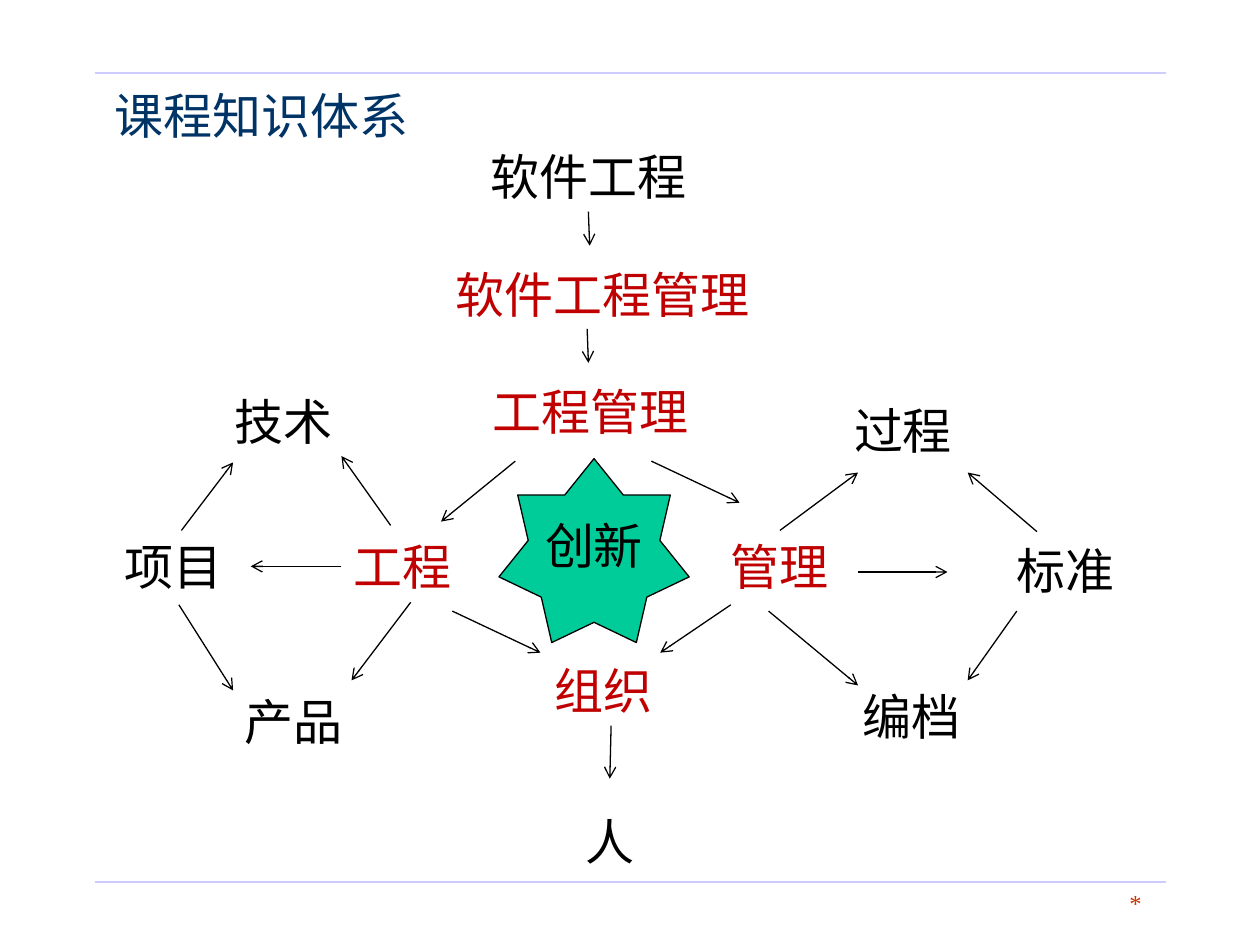
"""Build the course knowledge map slide with python-pptx."""
from dataclasses import dataclass

from lxml import etree
from pptx import Presentation
from pptx.dml.color import RGBColor
from pptx.enum.shapes import MSO_CONNECTOR, MSO_SHAPE
from pptx.enum.text import MSO_ANCHOR, MSO_AUTO_SIZE, PP_ALIGN
from pptx.oxml.ns import qn
from pptx.util import Inches, Pt

STRAIGHT = MSO_CONNECTOR.STRAIGHT
STAR = MSO_SHAPE.STAR_7_POINT
MIDDLE = MSO_ANCHOR.MIDDLE
GROW = MSO_AUTO_SIZE.SHAPE_TO_FIT_TEXT
LEFT, CENTER, RIGHT = PP_ALIGN.LEFT, PP_ALIGN.CENTER, PP_ALIGN.RIGHT
TOP_SIDE, LEFT_SIDE, BOTTOM_SIDE, RIGHT_SIDE = range(4)


@dataclass(frozen=True)
class Theme:
    title: RGBColor = RGBColor(0x00, 0x33, 0x66)
    text: RGBColor = RGBColor(0x00, 0x00, 0x00)
    key: RGBColor = RGBColor(0xC0, 0x00, 0x00)
    footer: RGBColor = RGBColor(0xCC, 0x33, 0x00)
    rule: RGBColor = RGBColor(0xCC, 0xCC, 0xFF)
    star: RGBColor = RGBColor(0x00, 0xCC, 0x99)
    large: Pt = Pt(28)
    small: Pt = Pt(14)
    line: Pt = Pt(0.75)
    latin: str = "Times New Roman"
    chinese: str = "Noto Sans CJK SC"


theme = Theme()


def write_text(shape, text, color, size=theme.large, font=theme.latin, align=LEFT):
    paragraph = shape.text_frame.paragraphs[0]
    paragraph.alignment = align
    run = paragraph.add_run()
    run.text = text
    run.font.name = font
    run.font.size = size
    run.font.color.rgb = color
    east_asian = etree.SubElement(run.font._element, qn("a:ea"))
    east_asian.set("typeface", theme.chinese)


def add_line(start, end, color, arrow=False):
    points = [Inches(value) for value in (*start, *end)]
    connector = slide.shapes.add_connector(STRAIGHT, *points)
    connector.line.color.rgb = color
    connector.line.width = theme.line
    if arrow:
        tail = etree.SubElement(connector.line._get_or_add_ln(), qn("a:tailEnd"))
        tail.set("type", "arrow")
    etree.SubElement(connector._element.spPr, qn("a:effectLst"))
    return connector


presentation = Presentation()
presentation.slide_width = Inches(10)
presentation.slide_height = Inches(7.5)
slide = presentation.slides.add_slide(presentation.slide_layouts[5])

for y in (0.58, 7):
    add_line((0.75, y), (9.25, y), theme.rule)

title = slide.shapes.title
title.left, title.top = Inches(0.81), Inches(0.58)
title.width, title.height = Inches(8.44), Inches(0.67)
title.text_frame.vertical_anchor = MIDDLE
write_text(title, "课程知识体系", theme.title, font=theme.chinese)

footer = slide.shapes.add_textbox(Inches(7.58), Inches(7), Inches(1.58), Inches(0.34))
footer.text_frame.word_wrap = True
write_text(footer, "*", theme.footer, size=theme.small, align=RIGHT)

topics = [
    ("软件工程", 3.64, 1.11, 2.06, theme.text),
    ("软件工程管理", 3.52, 2.05, 3.15, theme.key),
    ("工程管理", 3.81, 2.98, 2.06, theme.key),
    ("工程", 2.71, 4.21, 1.1, theme.key),
    ("管理", 5.7, 4.21, 1.1, theme.key),
    ("组织", 4.3, 5.19, 1.1, theme.key),
    ("人", 4.55, 6.39, 1.1, theme.text),
    ("技术", 1.76, 3.06, 1.1, theme.text),
    ("项目", 0.89, 4.21, 1.1, theme.text),
    ("产品", 1.84, 5.44, 1.1, theme.text),
    ("过程", 6.68, 3.13, 1.1, theme.text),
    ("标准", 7.97, 4.24, 1.1, theme.text),
    ("编档", 6.75, 5.4, 1.1, theme.text),
]
topic_boxes = {}
for name, left, top, width, color in topics:
    box = slide.shapes.add_textbox(Inches(left), Inches(top), Inches(width), Inches(0.57))
    box.text_frame.word_wrap = True
    box.text_frame.auto_size = GROW
    write_text(box, name, color, align=CENTER if name == "软件工程" else LEFT)
    topic_boxes[name] = box

star = slide.shapes.add_shape(STAR, Inches(3.96), Inches(3.64), Inches(1.51), Inches(1.46))
star.shadow.inherit = False
star.fill.solid()
star.fill.fore_color.rgb = theme.star
star.line.color.rgb = theme.text
star.line.width = theme.line
star.text_frame.word_wrap = False
star.text_frame.vertical_anchor = MIDDLE
star.text_frame.margin_top = Inches(0.11)
star.text_frame.paragraphs[0].line_spacing = 0.8
write_text(star, "创新", theme.text, align=CENTER)

free_arrows = [
    ((4.66, 2.61), (4.67, 2.88)),
    ((4.09, 3.66), (3.5, 4.14)),
    ((5.17, 3.66), (5.87, 3.99)),
    ((3.59, 4.85), (4.29, 5.18)),
    ((5.8, 4.8), (5.24, 5.18)),
    ((6.81, 4.54), (7.52, 4.54)),
    ((1.42, 4.8), (1.85, 5.48)),
    ((6.1, 4.85), (6.81, 5.44)),
    ((8.07, 4.85), (7.68, 5.4)),
    ((3.1, 4.17), (2.71, 3.62)),
    ((6.19, 4.21), (6.81, 3.75)),
    ((8.23, 4.22), (7.68, 3.75)),
]
for start, end in free_arrows:
    add_line(start, end, theme.text, arrow=True)

joined_arrows = [
    ("软件工程", BOTTOM_SIDE, (4.67, 1.69), (4.68, 1.95)),
    ("组织", BOTTOM_SIDE, (4.85, 5.76), (4.84, 6.18)),
    ("工程", BOTTOM_SIDE, (3.26, 4.78), (2.79, 5.4)),
    ("项目", TOP_SIDE, (1.44, 4.21), (1.85, 3.67)),
    ("工程", LEFT_SIDE, (2.71, 4.5), (1.99, 4.49)),
]
for name, side, start, end in joined_arrows:
    arrow = add_line(start, end, theme.text, arrow=True)
    arrow.begin_connect(topic_boxes[name], side)
    if side == LEFT_SIDE:
        arrow.end_connect(topic_boxes["项目"], RIGHT_SIDE)

presentation.save("out.pptx")
